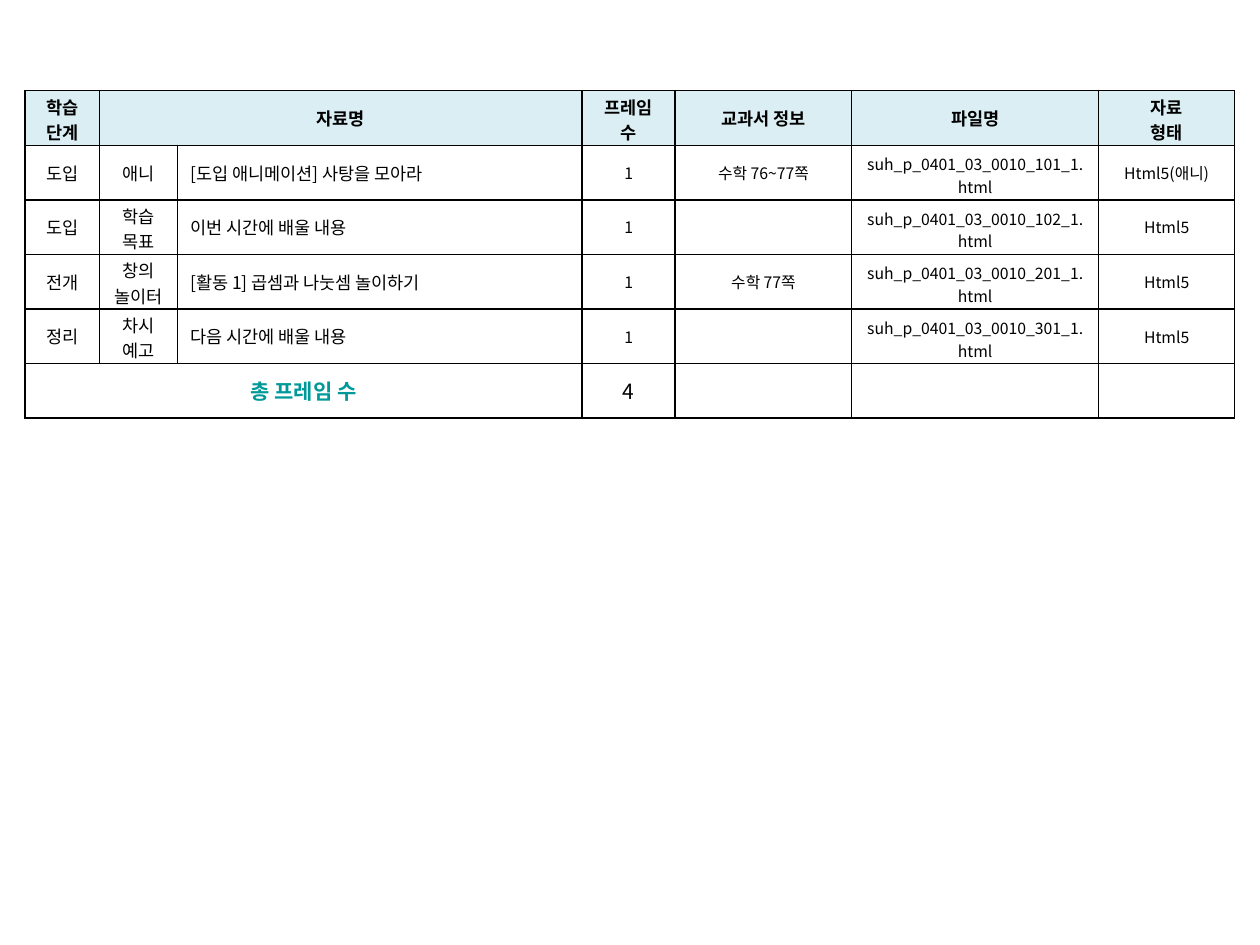
from pptx import Presentation
from pptx.dml.color import RGBColor
from pptx.enum.text import MSO_ANCHOR, PP_ALIGN
from pptx.oxml.ns import qn
from pptx.util import Inches, Pt
from lxml.etree import SubElement

FONT = "Noto Sans CJK KR"
BLACK, TEAL, PALE_BLUE = "000000", "009999", "DBEEF4"

# Content: a line break in a cell starts a new paragraph
HEADINGS = ["학습 단계", "자료명", "", "프레임 수", "교과서 정보", "파일명", "자료\n형태"]
LESSONS = [
    ["도입", "애니", "[도입 애니메이션] 사탕을 모아라", "1", "수학 76~77쪽",
     "suh_p_0401_03_0010_101_1.html", "Html5(애니)"],
    ["도입", "학습 목표", "이번 시간에 배울 내용", "1", "",
     "suh_p_0401_03_0010_102_1.html", "Html5"],
    ["전개", "창의\n놀이터", "[활동 1] 곱셈과 나눗셈 놀이하기", "1", "수학 77쪽",
     "suh_p_0401_03_0010_201_1.html", "Html5"],
    ["정리", "차시 예고", "다음 시간에 배울 내용", "1", "",
     "suh_p_0401_03_0010_301_1.html", "Html5"],
]
TOTAL = ["총 프레임 수", "", "", "4", "", "", ""]
ROWS = [HEADINGS, *LESSONS, TOTAL]
TOTAL_ROW = len(ROWS) - 1

LEFT, TOP, HEIGHT = 0.2, 0.72, 2.6
COLUMN_WIDTHS = [0.59, 0.62, 3.21, 0.74, 1.4, 1.96, 1.08]
TITLE_COLUMN, FILE_COLUMN = 2, 5


def rgb(color):
    return RGBColor.from_string(color)


def text_style(row, column):
    """Return size, colour and weight for a cell."""
    if row == 0:
        return 10, BLACK, True
    if row == TOTAL_ROW:
        return (12, TEAL, True) if column == 0 else (12, BLACK, False)
    return (10 if column <= TITLE_COLUMN else 9), BLACK, False


def top_margin(row, column, text):
    """Two-line cells sit a little low; the rest are centred."""
    if row in range(1, TOTAL_ROW) and column == FILE_COLUMN:
        return 0.04
    wraps = COLUMN_WIDTHS[column] < 1 and " " in text and row != TOTAL_ROW
    return 0.02 if wraps or "\n" in text else 0


def write_text(cell, text, size, color, bold, align):
    cell.vertical_anchor = MSO_ANCHOR.MIDDLE
    frame = cell.text_frame
    if not text:
        # An empty cell keeps a small line so that its row does not grow
        SubElement(frame.paragraphs[0]._p, qn("a:endParaRPr"), sz=str(size * 100))
        return
    for index, line in enumerate(text.split("\n")):
        paragraph = frame.add_paragraph() if index else frame.paragraphs[0]
        paragraph.alignment = align
        run = paragraph.add_run()
        run.text = line
        font = run.font
        font.size, font.bold, font.name = Pt(size), bold, FONT
        font.color.rgb = rgb(color)
        SubElement(run._r.get_or_add_rPr(), qn("a:ea"), typeface=FONT)


def draw_borders(cell):
    properties = cell._tc.get_or_add_tcPr()
    for index, side in enumerate(("lnL", "lnR", "lnT", "lnB")):
        line = SubElement(properties, qn(f"a:{side}"), w=str(Pt(1)))
        SubElement(SubElement(line, qn("a:solidFill")), qn("a:srgbClr"), val=BLACK)
        properties.insert(index, line)  # borders come before the fill


prs = Presentation()
prs.slide_width, prs.slide_height = Inches(10), Inches(7.5)
slide = prs.slides.add_slide(prs.slide_layouts[6])

# Table grid
lesson_table = slide.shapes.add_table(
    len(ROWS), len(COLUMN_WIDTHS), Inches(LEFT), Inches(TOP),
    Inches(sum(COLUMN_WIDTHS)), Inches(HEIGHT)).table
for column, width in zip(lesson_table.columns, COLUMN_WIDTHS):
    column.width = Inches(width)

# Cells
for r, row in enumerate(ROWS):
    for c, text in enumerate(row):
        cell = lesson_table.cell(r, c)
        if r == 0:
            cell.fill.solid()
            cell.fill.fore_color.rgb = rgb(PALE_BLUE)
        else:
            cell.fill.background()
        cell.margin_top = Inches(top_margin(r, c, text))
        cell.margin_bottom = Inches(0)
        is_title = c == TITLE_COLUMN and row in LESSONS
        align = PP_ALIGN.LEFT if is_title else PP_ALIGN.CENTER
        write_text(cell, text, *text_style(r, c), align)
        draw_borders(cell)

# Merged heading and total label
lesson_table.cell(0, 1).merge(lesson_table.cell(0, TITLE_COLUMN))
lesson_table.cell(TOTAL_ROW, 0).merge(lesson_table.cell(TOTAL_ROW, TITLE_COLUMN))

prs.save("out.pptx")
